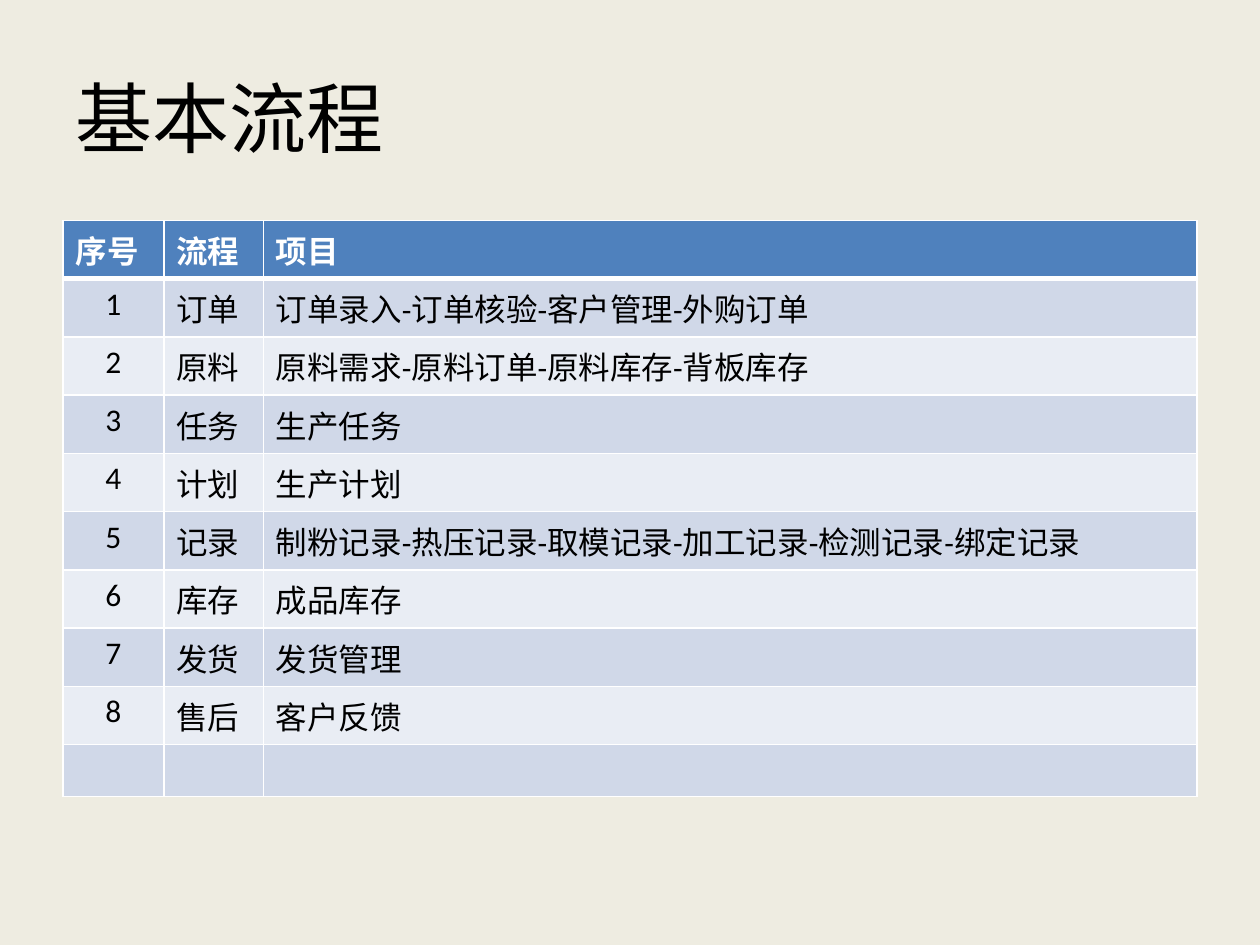
from lxml import etree
from pptx import Presentation
from pptx.dml.color import RGBColor
from pptx.enum.text import MSO_ANCHOR, PP_ALIGN
from pptx.oxml.ns import qn
from pptx.util import Inches, Pt

LEFT, CENTER = PP_ALIGN.LEFT, PP_ALIGN.CENTER
MIDDLE = MSO_ANCHOR.MIDDLE

CREAM = RGBColor(0xEE, 0xEC, 0xE1)
BLACK = RGBColor(0, 0, 0)
WHITE = RGBColor(0xFF, 0xFF, 0xFF)
HEADER_BLUE = RGBColor(0x4F, 0x81, 0xBD)
BAND_DARK = RGBColor(0xD0, 0xD8, 0xE8)
BAND_LIGHT = RGBColor(0xE9, 0xED, 0xF4)

FONT = "Calibri"
COLUMN_WIDTHS = [0.8, 0.79, 7.41]
ROW_HEIGHT = 0.41

HEADINGS = ["序号", "流程", "项目"]
PROCESSES = [
    ("订单", "订单录入-订单核验-客户管理-外购订单"),
    ("原料", "原料需求-原料订单-原料库存-背板库存"),
    ("任务", "生产任务"),
    ("计划", "生产计划"),
    ("记录", "制粉记录-热压记录-取模记录-加工记录-检测记录-绑定记录"),
    ("库存", "成品库存"),
    ("发货", "发货管理"),
    ("售后", "客户反馈"),
]


def write(paragraph, text, size, color, bold=False, align=LEFT):
    """Add one formatted run to a paragraph."""
    paragraph.alignment = align
    run = paragraph.add_run()
    run.text = text
    run.font.name = FONT
    run.font.size = Pt(size)
    run.font.bold = bold
    run.font.color.rgb = color


def set_borders(cell, widths):
    """Draw white cell borders, with widths in points by side."""
    properties = cell._tc.get_or_add_tcPr()
    for position, (side, width) in enumerate(widths.items()):
        line = etree.Element(qn("a:ln" + side), w=str(Pt(width)))
        fill = etree.SubElement(line, qn("a:solidFill"))
        etree.SubElement(fill, qn("a:srgbClr"), val=str(WHITE))
        properties.insert(position, line)


prs = Presentation()
prs.slide_width, prs.slide_height = Inches(10), Inches(7.5)
slide = prs.slides.add_slide(prs.slide_layouts[5])
slide.background.fill.solid()
slide.background.fill.fore_color.rgb = CREAM

title = slide.shapes.title
title.left, title.top = Inches(0.5), Inches(0.3)
title.width, title.height = Inches(9), Inches(1.25)
title.text_frame.vertical_anchor = MIDDLE
write(title.text_frame.paragraphs[0], "基本流程", 44, BLACK)

numbered = [(str(n), *process) for n, process in enumerate(PROCESSES, 1)]
rows = [HEADINGS, *numbered, ("", "", "")]
process_table = slide.shapes.add_table(
    len(rows), len(HEADINGS), Inches(0.5), Inches(1.75),
    Inches(sum(COLUMN_WIDTHS)), Inches(ROW_HEIGHT * len(rows))).table

for column, width in zip(process_table.columns, COLUMN_WIDTHS):
    column.width = Inches(width)

for r, row in enumerate(rows):
    process_table.rows[r].height = Inches(ROW_HEIGHT)
    is_header = r == 0
    band = HEADER_BLUE if is_header else BAND_DARK if r % 2 else BAND_LIGHT
    for c, text in enumerate(row):
        cell = process_table.cell(r, c)
        cell.fill.solid()
        cell.fill.fore_color.rgb = band
        set_borders(cell, {"L": 1, "R": 1, "T": 3 if r == 1 else 1,
                           "B": 3 if is_header else 1})
        if text:
            write(cell.text_frame.paragraphs[0], text, 18,
                  WHITE if is_header else BLACK, bold=is_header,
                  align=CENTER if c == 0 and not is_header else LEFT)

prs.save("out.pptx")
